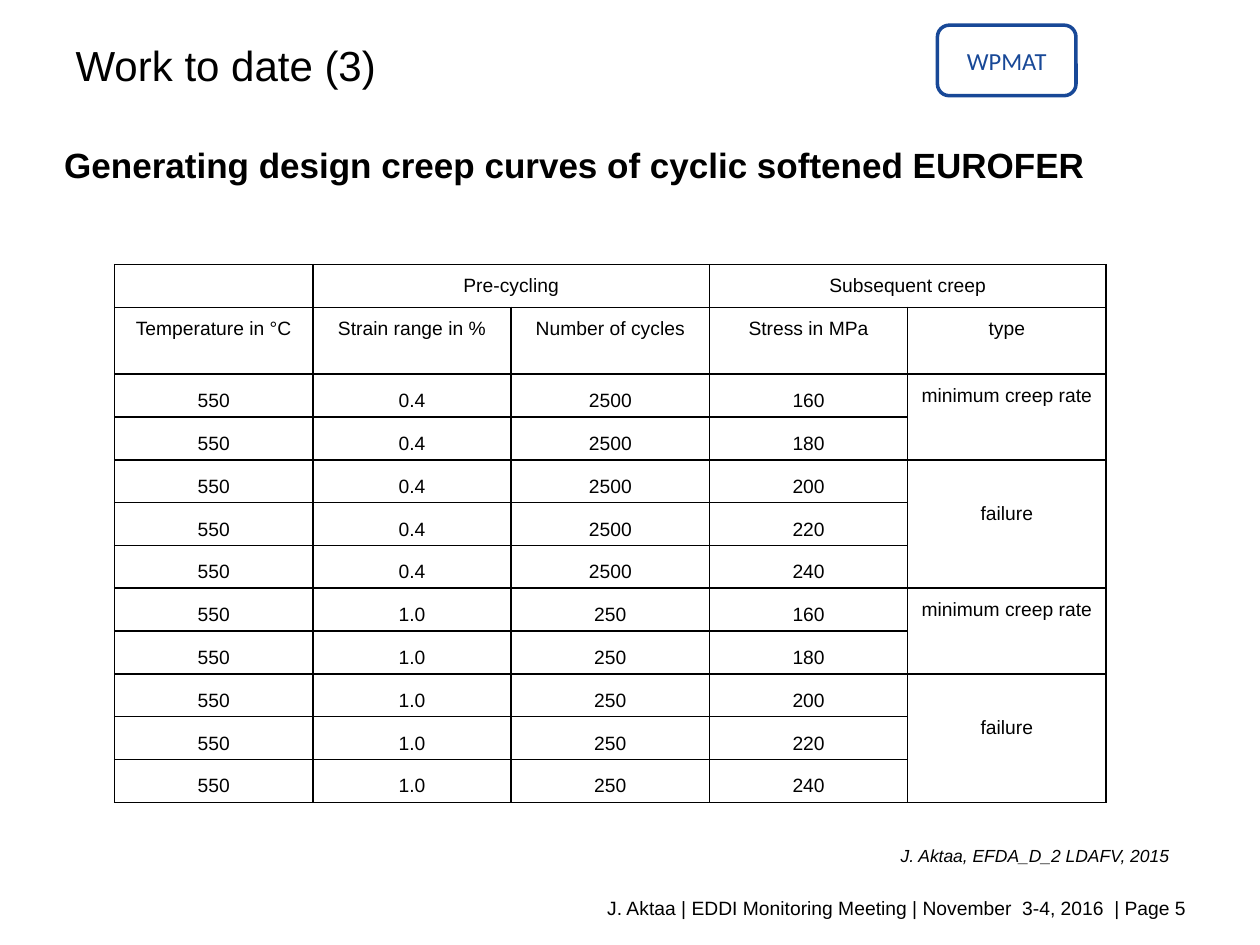
from dataclasses import dataclass

from lxml import etree
from pptx import Presentation
from pptx.dml.color import RGBColor
from pptx.enum.shapes import MSO_SHAPE
from pptx.enum.text import MSO_ANCHOR, PP_ALIGN
from pptx.oxml.ns import qn
from pptx.util import Inches, Pt

LEFT, CENTER, RIGHT = PP_ALIGN.LEFT, PP_ALIGN.CENTER, PP_ALIGN.RIGHT
TOP, MIDDLE = MSO_ANCHOR.TOP, MSO_ANCHOR.MIDDLE
ROUNDED = MSO_SHAPE.ROUNDED_RECTANGLE


@dataclass(frozen=True)
class Theme:
    font: str = "Arial"
    badge_font: str = "Calibri"
    black: RGBColor = RGBColor(0, 0, 0)
    blue: RGBColor = RGBColor(0x18, 0x48, 0x97)
    title: int = 24
    heading: int = 20
    badge: int = 14
    body: int = 11
    source: int = 10
    border: float = 1


THEME = Theme()

HEADERS = ["Temperature in °C", "Strain range in %", "Number of cycles",
           "Stress in MPa", "type"]
TEMPERATURE = "550"
PRE_CYCLING = [("0.4", "2500"), ("1.0", "250")]
STRESSES = ["160", "180", "200", "220", "240"]
MIN_RATE_ROWS = 2  # lowest stresses of each series; the rest run to failure

TABLE_WIDTH = 7.87
ROW_HEIGHT, HEADER_HEIGHT = 0.34, 0.53
LINE_HEIGHT = 0.26


def style(p, size, align=LEFT, font=THEME.font, color=THEME.black,
          bold=False, italic=False):
    p.alignment = align
    p.font.name, p.font.size = font, Pt(size)
    p.font.color.rgb = color
    p.font.bold, p.font.italic = bold, italic


def add_title(slide, text, box):
    sp = slide.shapes.title
    sp.left, sp.top, sp.width, sp.height = map(Inches, box)
    tf = sp.text_frame
    tf.text, tf.vertical_anchor = text, MIDDLE
    style(tf.paragraphs[0], THEME.title)


def add_text(slide, text, box, size, anchor=TOP, margin=None, wrap=True, **look):
    tf = slide.shapes.add_textbox(*map(Inches, box)).text_frame
    tf.text, tf.vertical_anchor, tf.word_wrap = text, anchor, wrap
    if margin is not None:
        tf.margin_left = tf.margin_right = Inches(margin)
        tf.margin_top = tf.margin_bottom = Inches(margin)
    style(tf.paragraphs[0], size, **look)


def add_badge(slide, text, box):
    sp = slide.shapes.add_shape(ROUNDED, *map(Inches, box))
    sp.shadow.inherit = False
    sp.fill.background()
    sp.line.color.rgb, sp.line.width = THEME.blue, Pt(2)
    tf = sp.text_frame
    tf.text, tf.vertical_anchor = text, MIDDLE
    style(tf.paragraphs[0], THEME.badge, CENTER, THEME.badge_font, THEME.blue)


def set_borders(cell):
    """Put the four edge lines ahead of the fill, as the schema requires."""
    tc_pr = cell._tc.get_or_add_tcPr()
    for i, edge in enumerate(("lnL", "lnR", "lnT", "lnB")):
        ln = etree.Element(qn(f"a:{edge}"), w=str(Pt(THEME.border)))
        fill = etree.SubElement(ln, qn("a:solidFill"))
        etree.SubElement(fill, qn("a:srgbClr"), val=str(THEME.black))
        tc_pr.insert(i, ln)


def format_cell(cell):
    cell.margin_left = cell.margin_right = Inches(0.07)
    cell.margin_top = cell.margin_bottom = 0
    cell.fill.background()
    set_borders(cell)
    write_cell(cell, "")


def write_cell(cell, text, anchor=TOP):
    cell.text, cell.vertical_anchor = text, anchor
    p = cell.text_frame.paragraphs[0]
    style(p, THEME.body, CENTER)
    p.line_spacing = 1.5


def fill_merged(table, first, last, text, top=0):
    cell = table.cell(*first)
    cell.merge(table.cell(*last))
    write_cell(cell, text)
    cell.margin_top = Inches(top)


def add_creep_table(slide, left, top):
    data = [(TEMPERATURE, strain, cycles, stress)
            for strain, cycles in PRE_CYCLING for stress in STRESSES]
    n_rows, n_cols = len(data) + 2, len(HEADERS)
    height = ROW_HEIGHT * (n_rows - 1) + HEADER_HEIGHT
    frame = slide.shapes.add_table(n_rows, n_cols, Inches(left), Inches(top),
                                   Inches(TABLE_WIDTH), Inches(height))
    table = frame.table
    table.first_row = table.horz_banding = False
    for row in table.rows:
        row.height = Inches(ROW_HEIGHT)
    table.rows[1].height = Inches(HEADER_HEIGHT)

    for cell in table.iter_cells():
        format_cell(cell)
    for r, values in enumerate([HEADERS, *data], start=1):
        for c, value in enumerate(values):
            write_cell(table.cell(r, c), value, TOP if r == 1 else MIDDLE)

    fill_merged(table, (0, 1), (0, 2), "Pre-cycling")
    fill_merged(table, (0, 3), (0, 4), "Subsequent creep")
    type_col = n_cols - 1
    for start in range(2, n_rows, len(STRESSES)):
        split = start + MIN_RATE_ROWS
        end = start + len(STRESSES) - 1
        fill_merged(table, (start, type_col), (split - 1, type_col),
                    "minimum creep rate")
        fill_merged(table, (split, type_col), (end, type_col),
                    "failure", LINE_HEIGHT)


def main():
    prs = Presentation()
    prs.slide_width, prs.slide_height = Inches(10), Inches(7.5)
    slide = prs.slides.add_slide(prs.slide_layouts[5])

    add_badge(slide, "WPMAT", (7.44, 0.2, 1.1, 0.56))
    add_text(slide,
             "J. Aktaa | EDDI Monitoring Meeting | November  3-4, 2016  | Page 5",
             (0.51, 7.06, 9.01, 0.29), THEME.body, anchor=MIDDLE, align=RIGHT)
    add_title(slide, "Work to date (3)", (0.5, 0.03, 8.12, 0.97))
    add_text(slide, "Generating design creep curves of cyclic softened EUROFER",
             (0.51, 1.14, 9.53, 0.61), THEME.heading, margin=0, bold=True)
    add_creep_table(slide, 0.91, 2.1)
    add_text(slide, "J. Aktaa, EFDA_D_2 LDAFV, 2015", (7.05, 6.66, 2.36, 0.27),
             THEME.source, wrap=False, italic=True)

    prs.save("out.pptx")


if __name__ == "__main__":
    main()
